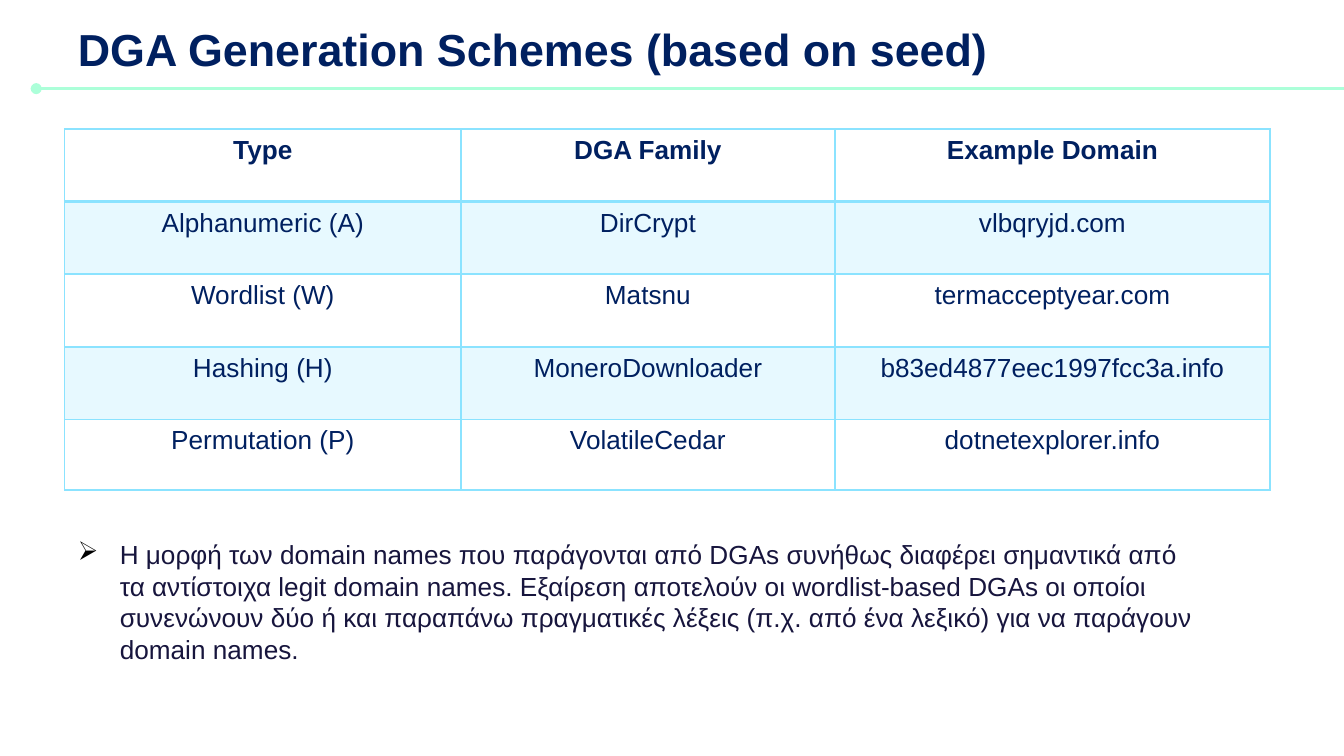
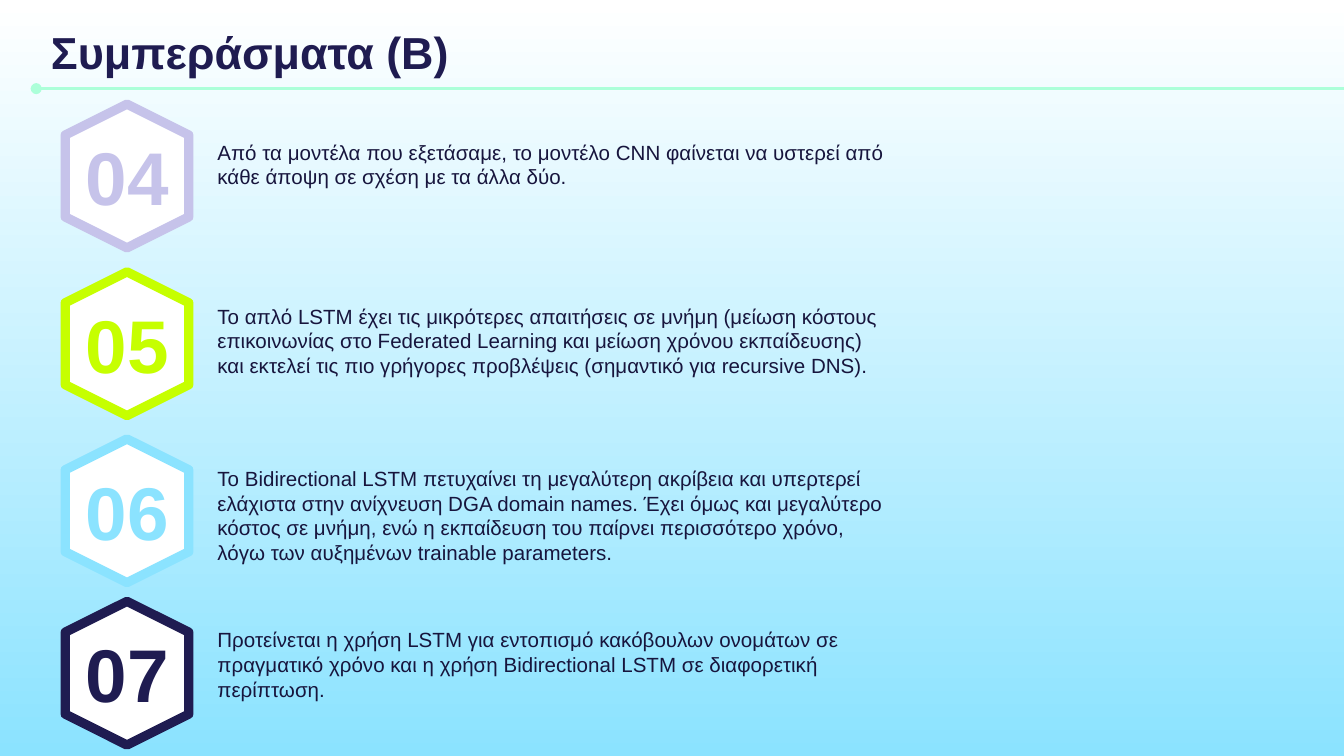
from lxml import etree
from pptx import Presentation
from pptx.dml.color import RGBColor
from pptx.enum.shapes import MSO_CONNECTOR, MSO_SHAPE
from pptx.enum.text import MSO_ANCHOR, PP_ALIGN
from pptx.oxml.ns import qn
from pptx.util import Pt

STRAIGHT = MSO_CONNECTOR.STRAIGHT
HEXAGON = MSO_SHAPE.HEXAGON
TOP, MIDDLE = MSO_ANCHOR.TOP, MSO_ANCHOR.MIDDLE
LEFT, CENTER = PP_ALIGN.LEFT, PP_ALIGN.CENTER

WHITE = RGBColor(0xFF, 0xFF, 0xFF)
BLACK = RGBColor(0x00, 0x00, 0x00)
NAVY = RGBColor(0x00, 0x20, 0x60)
INDIGO = RGBColor(0x1F, 0x1C, 0x51)
INK = RGBColor(0x17, 0x15, 0x3D)
SKY = RGBColor(0x8B, 0xE3, 0xFF)
MINT = RGBColor(0xAC, 0xFF, 0xD9)
LIME = RGBColor(0xC6, 0xFF, 0x00)
LILAC = RGBColor(0xC6, 0xC3, 0xEA)

FONT = "Arial"
SLIDE_WIDTH, SLIDE_HEIGHT = 720, 405
RULE_LEFT, RULE_TOP = 19.4, 47.5
HEXAGON_LENGTH, HEXAGON_BREADTH = 77, 66.2
HEXAGON_CENTER = 68
NUMBER_WIDTH, NUMBER_HEIGHT = 60, 55.4

COLUMN_WIDTHS = [212.4, 200.2, 233.3]
ROW_HEIGHTS = [38.9, 38.9, 38.9, 38.9, 37.8]
SCHEMES = [
    ["Type", "DGA Family", "Example Domain"],
    ["Alphanumeric (A)", "DirCrypt", "vlbqryjd.com"],
    ["Wordlist (W)", "Matsnu", "termacceptyear.com"],
    ["Hashing (H)", "MoneroDownloader", "b83ed4877eec1997fcc3a.info"],
    ["Permutation (P)", "VolatileCedar", "dotnetexplorer.info"],
]
SCHEMES_NOTE = (
    "Η μορφή των domain names που παράγονται από DGAs συνήθως διαφέρει σημαντικά "
    "από τα αντίστοιχα legit domain names. Εξαίρεση αποτελούν οι wordlist-based "
    "DGAs οι οποίοι συνενώνουν δύο ή και παραπάνω πραγματικές λέξεις (π.χ. από ένα "
    "λεξικό) για να παράγουν domain names."
)
CONCLUSIONS = [
    ("04", LILAC, 94.3, 71.3,
     "Από τα μοντέλα που εξετάσαμε, το μοντέλο CNN φαίνεται να υστερεί από κάθε "
     "άποψη σε σχέση με τα άλλα δύο."),
    ("05", LIME, 184.2, 159.1,
     "Το απλό LSTM έχει τις μικρότερες απαιτήσεις σε μνήμη (μείωση κόστους "
     "επικοινωνίας στο Federated Learning και μείωση χρόνου εκπαίδευσης) και "
     "εκτελεί τις πιο γρήγορες προβλέψεις (σημαντικό για recursive DNS)."),
    ("06", SKY, 273.7, 246.2,
     "Το Bidirectional LSTM πετυχαίνει τη μεγαλύτερη ακρίβεια και υπερτερεί "
     "ελάχιστα στην ανίχνευση DGA domain names. Έχει όμως και μεγαλύτερο κόστος "
     "σε μνήμη, ενώ η εκπαίδευση του παίρνει περισσότερο χρόνο, λόγω των "
     "αυξημένων trainable parameters."),
    ("07", INDIGO, 360.7, 332.6,
     "Προτείνεται η χρήση LSTM για εντοπισμό κακόβουλων ονομάτων σε πραγματικό "
     "χρόνο και η χρήση Bidirectional LSTM σε διαφορετική περίπτωση."),
]


def add_run(paragraph, text, size, color, bold=False):
    run = paragraph.add_run()
    run.text = text
    run.font.name = FONT
    run.font.size = Pt(size)
    run.font.bold = bold
    run.font.color.rgb = color


def add_text(slide, box, text, size, color, bold=False, align=LEFT, anchor=TOP):
    shape = slide.shapes.add_textbox(*map(Pt, box))
    frame = shape.text_frame
    frame.word_wrap = True
    frame.vertical_anchor = anchor
    paragraph = frame.paragraphs[0]
    paragraph.alignment = align
    add_run(paragraph, text, size, color, bold)
    return paragraph


def add_bullet(paragraph, character, color, indent):
    properties = paragraph._p.get_or_add_pPr()
    properties.set("marL", str(Pt(indent)))
    properties.set("indent", str(-Pt(indent)))
    bullet_color = etree.SubElement(properties, qn("a:buClr"))
    etree.SubElement(bullet_color, qn("a:srgbClr"), val=str(color))
    etree.SubElement(properties, qn("a:buChar"), char=character)


def add_header(slide, title, left, top, color):
    rule = slide.shapes.add_connector(
        STRAIGHT, Pt(RULE_LEFT), Pt(RULE_TOP), Pt(SLIDE_WIDTH), Pt(RULE_TOP))
    rule.line.color.rgb = MINT
    rule.line.width = Pt(1.5)
    etree.SubElement(rule.line._get_or_add_ln(), qn("a:headEnd"), type="oval")
    etree.SubElement(rule._element.spPr, qn("a:effectLst"))
    add_text(slide, (left, top, 610, 42.5), title, 24, color, True, anchor=MIDDLE)


def set_borders(cell, color, bottom_width):
    properties = cell._tc.get_or_add_tcPr()
    for index, side in enumerate("LRTB"):
        width = bottom_width if side == "B" else 1
        border = etree.Element(qn(f"a:ln{side}"), w=str(Pt(width)))
        fill = etree.SubElement(border, qn("a:solidFill"))
        etree.SubElement(fill, qn("a:srgbClr"), val=str(color))
        properties.insert(index, border)


def fill_cell(cell, color, opacity):
    cell.fill.solid()
    cell.fill.fore_color.rgb = color
    color_element = cell._tc.tcPr.find(".//" + qn("a:srgbClr"))
    etree.SubElement(color_element, qn("a:alpha"), val=str(opacity * 1000))


def add_table(slide, left, top, rows):
    table = slide.shapes.add_table(
        len(rows), len(COLUMN_WIDTHS), Pt(left), Pt(top),
        Pt(sum(COLUMN_WIDTHS)), Pt(sum(ROW_HEIGHTS))).table
    table.first_row = False
    table.horz_banding = False
    for column, width in zip(table.columns, COLUMN_WIDTHS):
        column.width = Pt(width)
    for row_index, texts in enumerate(rows):
        table.rows[row_index].height = Pt(ROW_HEIGHTS[row_index])
        is_header = row_index == 0
        for column_index, text in enumerate(texts):
            cell = table.cell(row_index, column_index)
            paragraph = cell.text_frame.paragraphs[0]
            paragraph.alignment = CENTER
            add_run(paragraph, text, 14, NAVY, is_header)
            if row_index % 2:
                fill_cell(cell, SKY, 20)
            else:
                cell.fill.background()
            set_borders(cell, SKY, 2 if is_header else 1)


def add_numbered_hexagon(slide, number, color, center):
    hexagon = slide.shapes.add_shape(
        HEXAGON, Pt(HEXAGON_CENTER - HEXAGON_LENGTH / 2),
        Pt(center - HEXAGON_BREADTH / 2), Pt(HEXAGON_LENGTH), Pt(HEXAGON_BREADTH))
    hexagon.rotation = 90
    hexagon.shadow.inherit = False
    hexagon.fill.solid()
    hexagon.fill.fore_color.rgb = WHITE
    hexagon.line.color.rgb = color
    hexagon.line.width = Pt(5)
    etree.SubElement(hexagon.line._get_or_add_ln(), qn("a:round"))
    box = (HEXAGON_CENTER - NUMBER_WIDTH / 2, center - NUMBER_HEIGHT / 2,
           NUMBER_WIDTH, NUMBER_HEIGHT)
    add_text(slide, box, number, 40, color, True, CENTER)


def set_gradient(slide, top_color, bottom_color):
    fill = slide.background.fill
    fill.gradient()
    fill.gradient_angle = 270
    for stop, color in zip(fill.gradient_stops, (top_color, bottom_color)):
        stop.color.rgb = color


def build_schemes_slide(slide):
    slide.background.fill.solid()
    slide.background.fill.fore_color.rgb = WHITE
    add_header(slide, "DGA Generation Schemes (based on seed)", 34.6, 5, NAVY)
    add_table(slide, 34.6, 69.1, SCHEMES)
    note = add_text(slide, (34.6, 285.1, 612, 75), SCHEMES_NOTE, 14, INK)
    add_bullet(note, "➢", BLACK, 22.5)


def build_conclusions_slide(slide):
    set_gradient(slide, WHITE, SKY)
    add_header(slide, "Συμπεράσματα (B)", 20.2, 6.5, INDIGO)
    for number, color, center, text_top, text in CONCLUSIONS:
        add_numbered_hexagon(slide, number, color, center)
        add_text(slide, (109.4, text_top, 376, 60), text, 11, INK)


def main():
    presentation = Presentation()
    presentation.slide_width = Pt(SLIDE_WIDTH)
    presentation.slide_height = Pt(SLIDE_HEIGHT)
    blank = presentation.slide_layouts[6]
    for build in (build_schemes_slide, build_conclusions_slide):
        build(presentation.slides.add_slide(blank))
    presentation.save("out.pptx")


if __name__ == "__main__":
    main()
